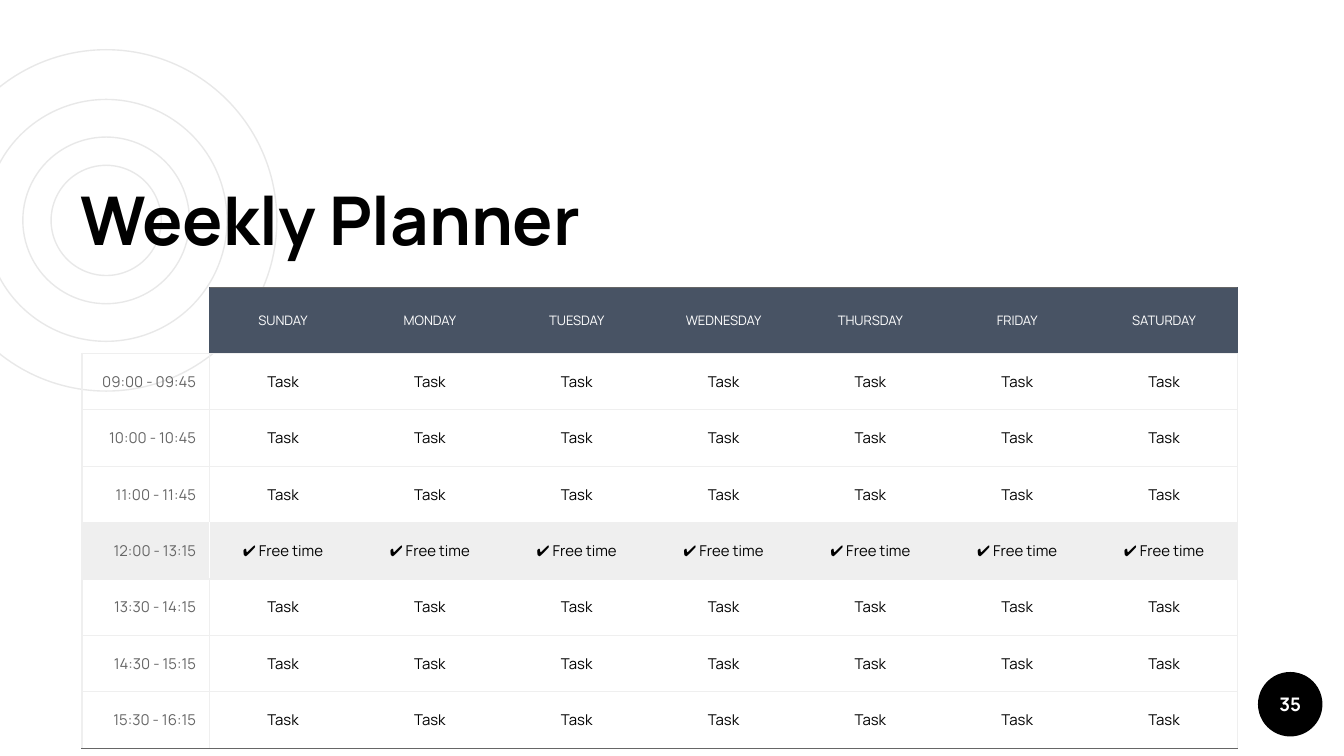
from lxml import etree
from pptx import Presentation
from pptx.dml.color import RGBColor
from pptx.enum.shapes import MSO_SHAPE
from pptx.enum.text import MSO_ANCHOR, PP_ALIGN
from pptx.oxml.ns import qn
from pptx.util import Inches, Pt

CENTER, RIGHT, LEFT = PP_ALIGN.CENTER, PP_ALIGN.RIGHT, PP_ALIGN.LEFT
MIDDLE, BOTTOM = MSO_ANCHOR.MIDDLE, MSO_ANCHOR.BOTTOM
OVAL = MSO_SHAPE.OVAL

BLACK = RGBColor(0x00, 0x00, 0x00)
WHITE = RGBColor(0xFF, 0xFF, 0xFF)
SLATE = RGBColor(0x48, 0x53, 0x64)
GRAY = RGBColor(0x66, 0x66, 0x66)
PALE = RGBColor(0xEF, 0xEF, 0xEF)
RING = RGBColor(0xE8, 0xE8, 0xE8)
FONT = "Manrope"
NO_STYLE = "{2D5ABB26-0587-4C30-8999-92F81FD0307C}"

# Content
TITLE = "Weekly Planner"
PAGE_NUMBER = "35"
DAYS = ["SUNDAY", "MONDAY", "TUESDAY", "WEDNESDAY", "THURSDAY", "FRIDAY", "SATURDAY"]
TASK, FREE = "Task", "✔ Free time"
SLOTS = [
    ("09:00 - 09:45", TASK),
    ("10:00 - 10:45", TASK),
    ("11:00 - 11:45", TASK),
    ("12:00 - 13:15", FREE),
    ("13:30 - 14:15", TASK),
    ("14:30 - 15:15", TASK),
    ("15:30 - 16:15", TASK),
]

# Layout in inches; the slide is 16:9
SLIDE_WIDTH = 10
SLIDE_HEIGHT = SLIDE_WIDTH * 9 / 16
RING_CENTER = (0.79, 1.64)
RING_SIZES = [2.54, 1.24, 1.8, 0.82]
BADGE_CENTER, BADGE_SIZE = (9.6, 5.24), 0.48
TABLE_LEFT, TABLE_TOP, TABLE_WIDTH = 0.61, 2.14, 8.6
TIME_WIDTH = 0.95
DAY_WIDTH = (TABLE_WIDTH - TIME_WIDTH) / len(DAYS)
HEADER_HEIGHT, SLOT_HEIGHT = 0.49, 0.42


def write(frame, text, size, color, align, bold=False):
    para = frame.paragraphs[0]
    para.alignment = align
    span = para.add_run()
    span.text = text
    for name, value in {"name": FONT, "size": Pt(size), "bold": bold}.items():
        setattr(span.font, name, value)
    span.font.color.rgb = color


def set_margins(target, anchor):
    for side in ("left", "right", "top", "bottom"):
        setattr(target, f"margin_{side}", Inches(0.1))
    target.vertical_anchor = anchor


def add_circle(page, center, size):
    x, y = (Inches(middle - size / 2) for middle in center)
    circle = page.shapes.add_shape(OVAL, x, y, Inches(size), Inches(size))
    circle.shadow.inherit = False
    return circle


def set_borders(cell, borders):
    properties = cell._tc.get_or_add_tcPr()
    for side in "LRTB":
        color = borders.get(side)
        line = etree.SubElement(properties, qn(f"a:ln{side}"), w=str(Pt(0.75)))
        if color is None:
            etree.SubElement(line, qn("a:noFill"))
        else:
            fill = etree.SubElement(line, qn("a:solidFill"))
            etree.SubElement(fill, qn("a:srgbClr"), val=str(color))


def cell_borders(row, column):
    if row == 0:
        if column == 0:
            return {"R": SLATE, "B": PALE}
        borders = {"T": GRAY, "B": PALE}
        edge = divider = SLATE
    else:
        borders = {"T": PALE, "B": GRAY if row == len(SLOTS) else PALE}
        edge = PALE
        divider = WHITE if SLOTS[row - 1][1] == FREE else PALE
    if column == 0:
        borders.update(L=edge, R=divider)
    elif column == 1:
        borders["L"] = divider
    elif column == len(DAYS):
        borders["R"] = edge
    return borders


def add_planner(page):
    rows = [[""] + DAYS] + [[time] + [entry] * len(DAYS) for time, entry in SLOTS]
    widths = [TIME_WIDTH] + [DAY_WIDTH] * len(DAYS)
    heights = [HEADER_HEIGHT] + [SLOT_HEIGHT] * len(SLOTS)
    table = page.shapes.add_table(
        len(rows), len(widths), Inches(TABLE_LEFT), Inches(TABLE_TOP),
        Inches(TABLE_WIDTH), Inches(sum(heights))).table
    table.first_row = table.horz_banding = False
    table._tbl.tblPr.find(qn("a:tableStyleId")).text = NO_STYLE
    for column, width in zip(table.columns, widths):
        column.width = Inches(width)
    for row, height in zip(table.rows, heights):
        row.height = Inches(height)

    for r, texts in enumerate(rows):
        for c, text in enumerate(texts):
            cell = table.cell(r, c)
            set_margins(cell, MIDDLE)
            set_borders(cell, cell_borders(r, c))
            if r == 0 and c > 0:
                fill, size, color = SLATE, 7, WHITE
            else:
                fill = PALE if FREE in texts else None
                size, color = 8, BLACK if c else GRAY
            if fill is None:
                cell.fill.background()
            else:
                cell.fill.solid()
                cell.fill.fore_color.rgb = fill
            if text:
                write(cell.text_frame, text, size, color, CENTER if c else RIGHT)
            else:
                cell.text_frame.paragraphs[0].font.size = Pt(size)


def main():
    deck = Presentation()
    deck.slide_width, deck.slide_height = Inches(SLIDE_WIDTH), Inches(SLIDE_HEIGHT)
    page = deck.slides.add_slide(deck.slide_layouts[5])

    # Rings behind the title
    for size in RING_SIZES:
        ring = add_circle(page, RING_CENTER, size)
        ring.fill.background()
        ring.line.color.rgb = RING
        ring.line.width = Pt(0.75)

    # Page number badge
    badge = add_circle(page, BADGE_CENTER, BADGE_SIZE)
    badge.fill.solid()
    badge.fill.fore_color.rgb = BLACK
    badge.line.fill.background()
    badge.text_frame.word_wrap = False
    set_margins(badge.text_frame, MIDDLE)
    write(badge.text_frame, PAGE_NUMBER, 10, WHITE, CENTER, bold=True)

    # Title, raised above the rings
    title = page.shapes.title
    page.shapes._spTree.append(title._element)
    title.left, title.top = Inches(0.5), Inches(1.28)
    title.width, title.height = Inches(5.71), Inches(0.75)
    set_margins(title.text_frame, BOTTOM)
    write(title.text_frame, TITLE, 36, BLACK, LEFT, bold=True)

    add_planner(page)
    deck.save("out.pptx")


if __name__ == "__main__":
    main()
